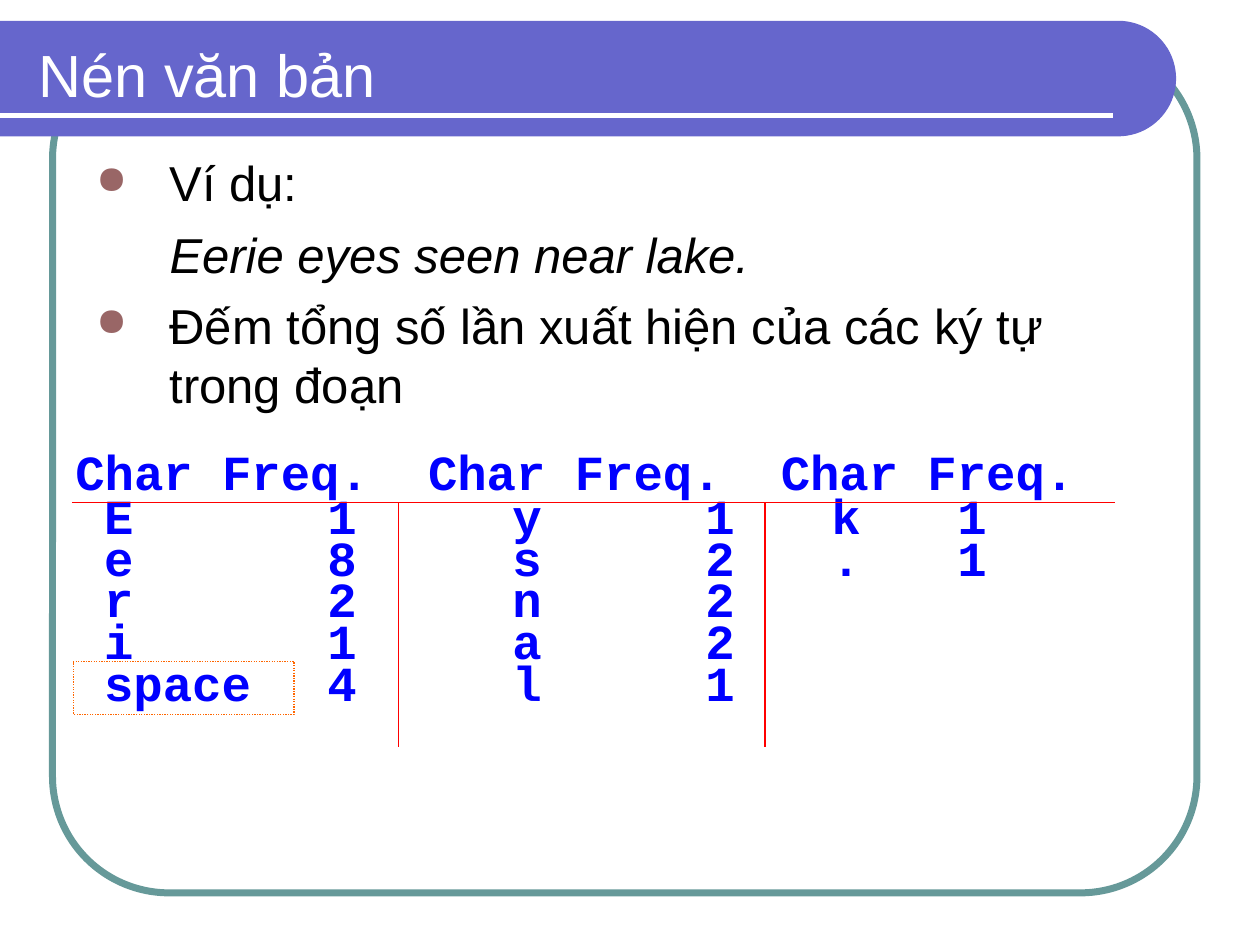
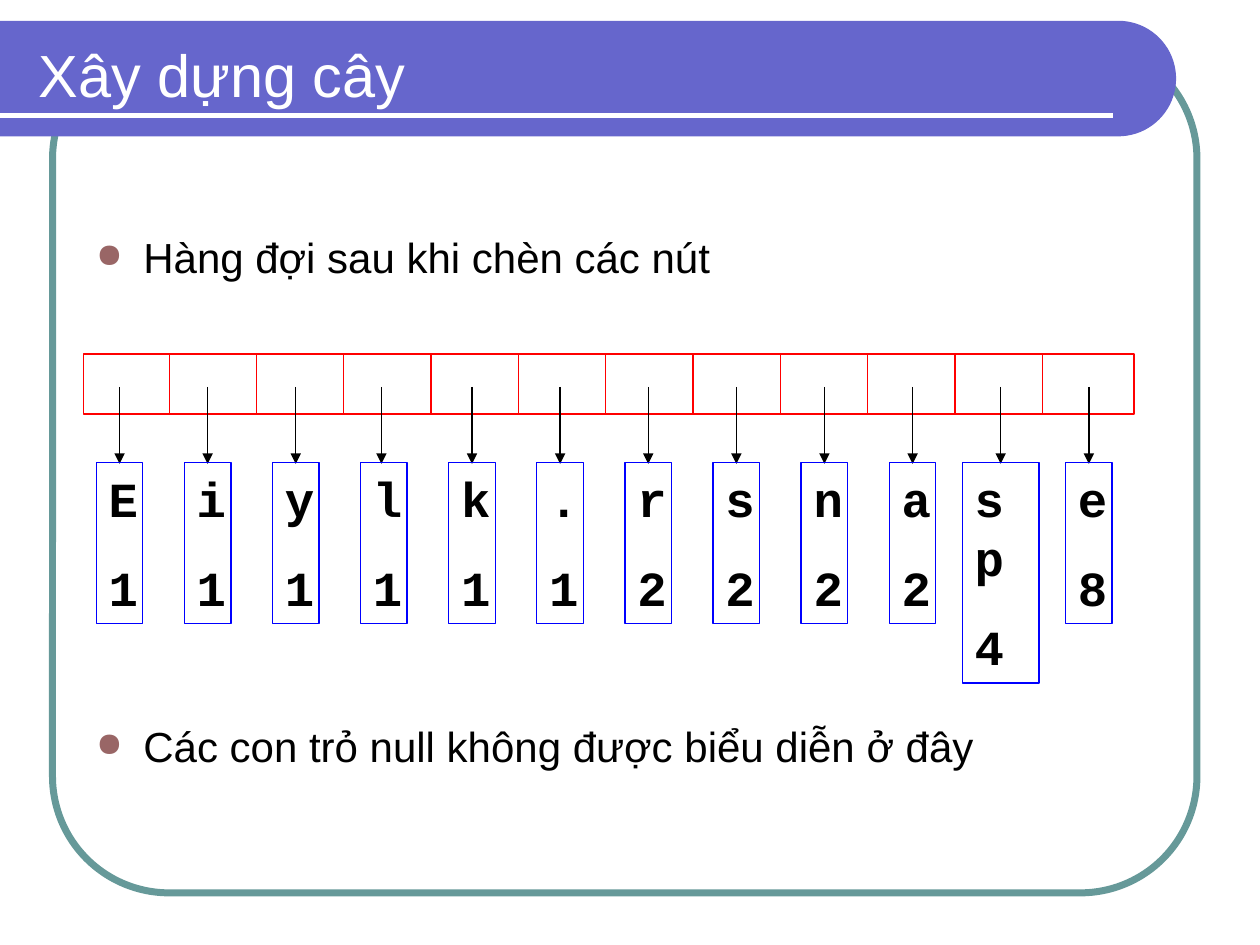
import math
from dataclasses import dataclass

from lxml import etree
from pptx import Presentation
from pptx import util as u
from pptx.dml.color import RGBColor
from pptx.enum import dml, shapes, text
from pptx.oxml.ns import qn

COLORS = {
    "white": "FFFFFF",
    "black": "000000",
    "band": "6666CC",
    "frame": "669999",
    "bullet": "996666",
    "red": "FF0000",
    "blue": "0000FF",
    "orange": "FF6600",
}


@dataclass(frozen=True)
class Area:
    left: float
    top: float
    width: float
    height: float

    def lengths(self) -> list[u.Length]:
        return [u.Cm(v) for v in (self.left, self.top, self.width, self.height)]


@dataclass(frozen=True)
class Style:
    font: str
    size: float
    color: str
    bold: bool = False


@dataclass(frozen=True)
class Para:
    words: str
    before: float = 0
    spacing: float = 1
    indent: float = 0
    bullet: bool = False
    italic: bool = False
    tabs: tuple[float, ...] = ()


@dataclass(frozen=True)
class Node:
    char: str
    freq: int
    width: float = 0.94
    height: float = 3.25
    arrow_shift: float = 0


TITLE = Style("Arial", 34, "white")
BODY = Style("Arial", 28, "black")
SMALL_BODY = Style("Arial", 24, "black")
TABLE_CODE = Style("Courier New", 28, "blue", True)
NODE_CODE = Style("Courier New", 28, "black", True)

HEADER_TABS = (7.11, 14.22)
ROW_TABS = (0.58, 5.08, 8.81, 12.7, 15.24, 17.78)
FREQ_ROWS = [
    ("E", "1", "y", "1", "k", "1"),
    ("e", "8", "s", "2", ".", "1"),
    ("r", "2", "n", "2"),
    ("i", "1", "a", "2"),
    ("space", "4", "l", "1"),
]

NODES = [
    Node("E", 1), Node("i", 1), Node("y", 1), Node("l", 1, arrow_shift=-0.05),
    Node("k", 1), Node(".", 1), Node("r", 2), Node("s", 2), Node("n", 2),
    Node("a", 2), Node("sp", 4, width=1.55, height=4.45), Node("e", 8),
]


def rgb(name: str) -> RGBColor:
    return RGBColor.from_string(COLORS[name])


def write(tf, paras: list[Para], style: Style) -> None:
    tf.word_wrap = True
    for i, para in enumerate(paras):
        p = tf.paragraphs[0] if i == 0 else tf.add_paragraph()
        p.alignment = text.PP_ALIGN.LEFT
        p.space_before = u.Pt(para.before)
        p.line_spacing = para.spacing
        pPr = p._p.get_or_add_pPr()
        if para.indent:
            pPr.set("marL", str(u.Cm(para.indent)))
            pPr.set("indent", str(-u.Cm(para.indent) if para.bullet else 0))
        if para.bullet:
            color = etree.SubElement(pPr, qn("a:buClr"))
            etree.SubElement(color, qn("a:srgbClr"), val=COLORS["bullet"])
            etree.SubElement(pPr, qn("a:buSzPct"), val="80000")
            etree.SubElement(pPr, qn("a:buChar"), char="●")
        if para.tabs:
            stops = etree.SubElement(pPr, qn("a:tabLst"))
            for pos in para.tabs:
                etree.SubElement(stops, qn("a:tab"), pos=str(u.Cm(pos)), algn="l")
        for j, words in enumerate(para.words.split("\t")):
            r = p.add_run()
            r.text = "\t" + words if j else words
            r.font.name = style.font
            r.font.size = u.Pt(style.size)
            r.font.bold = style.bold
            r.font.italic = para.italic
            r.font.color.rgb = rgb(style.color)


def add_text(s, area: Area, paras: list[Para], style: Style, middle: bool = False):
    sp = s.shapes.add_textbox(*area.lengths())
    anchor = text.MSO_ANCHOR
    sp.text_frame.vertical_anchor = anchor.MIDDLE if middle else anchor.TOP
    write(sp.text_frame, paras, style)
    return sp


def add_box(s, area: Area, line: str, width: float = 0.75, fill: str = "",
            kind=shapes.MSO_SHAPE.RECTANGLE):
    sp = s.shapes.add_shape(kind, *area.lengths())
    sp.shadow.inherit = False
    if fill:
        sp.fill.solid()
        sp.fill.fore_color.rgb = rgb(fill)
    else:
        sp.fill.background()
    sp.line.color.rgb = rgb(line)
    sp.line.width = u.Pt(width)
    return sp


def add_line(s, x1: float, y1: float, x2: float, y2: float, color: str,
             width: float = 0.75, arrow: bool = False) -> None:
    ends = [u.Cm(v) for v in (x1, y1, x2, y2)]
    cxn = s.shapes.add_connector(shapes.MSO_CONNECTOR.STRAIGHT, *ends)
    cxn.line.color.rgb = rgb(color)
    cxn.line.width = u.Pt(width)
    if arrow:
        etree.SubElement(cxn.line._get_or_add_ln(), qn("a:tailEnd"), type="triangle")
    etree.SubElement(cxn._element.spPr, qn("a:effectLst"))


def add_band(s) -> None:
    top, height, right = 0.42, 2.33, 23.71
    radius = height / 2
    steps = 40
    angles = [math.pi * (i / steps - 0.5) for i in range(steps + 1)]
    arc = [(u.Cm(right - radius + radius * math.cos(a)),
            u.Cm(top + radius + radius * math.sin(a))) for a in angles]
    builder = s.shapes.build_freeform(0, u.Cm(top))
    builder.add_line_segments(arc + [(0, u.Cm(top + height))], close=True)
    sp = builder.convert_to_shape()
    sp.shadow.inherit = False
    sp.fill.solid()
    sp.fill.fore_color.rgb = rgb("band")
    sp.line.fill.background()


def add_slide(prs, title: str):
    s = prs.slides.add_slide(prs.slide_layouts[6])
    frame = add_box(s, Area(1.06, 0.85, 23.07, 17.15), "frame", 4,
                    kind=shapes.MSO_SHAPE.ROUNDED_RECTANGLE)
    frame.adjustments[0] = 0.137
    add_band(s)
    add_line(s, 0, 2.33, 22.44, 2.33, "white", 3)
    add_text(s, Area(0.53, 0.64, 22.28, 1.69), [Para(title)], TITLE, middle=True)
    return s


def build_frequency_slide(prs) -> None:
    s = add_slide(prs, "Nén văn bản")
    add_text(s, Area(1.69, 2.96, 22.01, 14.39), [
        Para("Ví dụ:", 7, indent=1.48, bullet=True),
        Para("Eerie eyes seen near lake.", 7, indent=1.48, italic=True),
        Para("Đếm tổng số lần xuất hiện của các ký tự trong đoạn", 7,
             indent=1.48, bullet=True),
    ], BODY)
    header = Para("\t".join(["Char Freq."] * 3), 7, 0.7, tabs=HEADER_TABS)
    rows = [Para("\t" + "\t".join(row), 7, 0.5, tabs=ROW_TABS) for row in FREQ_ROWS]
    add_text(s, Area(1.27, 9.1, 22.33, 5.28), [header] + rows, TABLE_CODE)
    rule_y = 10.13
    add_line(s, 1.45, rule_y, 22.48, rule_y, "red")
    space_mark = add_box(s, Area(1.48, 13.34, 4.45, 1.06), "orange")
    space_mark.line.dash_style = dml.MSO_LINE.ROUND_DOT
    for x in (8.03, 15.42):
        add_line(s, x, rule_y, x, 15.06, "red")


def build_queue_slide(prs) -> None:
    s = add_slide(prs, "Xây dựng cây")
    add_text(s, Area(1.69, 4.55, 22.01, 11.43), [
        Para("Hàng đợi sau khi chèn các nút", 6, indent=0.95, bullet=True),
        Para("Các con trỏ null không được biểu diễn ở đây", 250.7,
             indent=0.95, bullet=True),
    ], SMALL_BODY)
    queue = Area(1.69, 7.14, 21.17, 1.21)
    add_box(s, queue, "red", fill="white")
    for i in range(len(NODES) - 1):
        x = 3.41 + 1.76 * i
        add_line(s, x, queue.top, x, queue.top + queue.height, "red")
    first, last = 2.41, 21.95
    step = (last - first) / (len(NODES) - 1)
    for i, node in enumerate(NODES):
        center = first + step * i
        arrow_x = center + node.arrow_shift
        add_line(s, arrow_x, 7.8, arrow_x, 9.35, "black", arrow=True)
        area = Area(center - node.width / 2, 9.32, node.width, node.height)
        sp = add_box(s, area, "blue")
        tf = sp.text_frame
        tf.vertical_anchor = text.MSO_ANCHOR.TOP
        tf.auto_size = text.MSO_AUTO_SIZE.SHAPE_TO_FIT_TEXT
        write(tf, [Para(node.char, 17.5), Para(str(node.freq), 17.5)], NODE_CODE)


def main() -> None:
    prs = Presentation()
    prs.slide_width = u.Cm(25.4)
    prs.slide_height = u.Cm(19.05)
    build_frequency_slide(prs)
    build_queue_slide(prs)
    prs.save("out.pptx")


if __name__ == "__main__":
    main()
